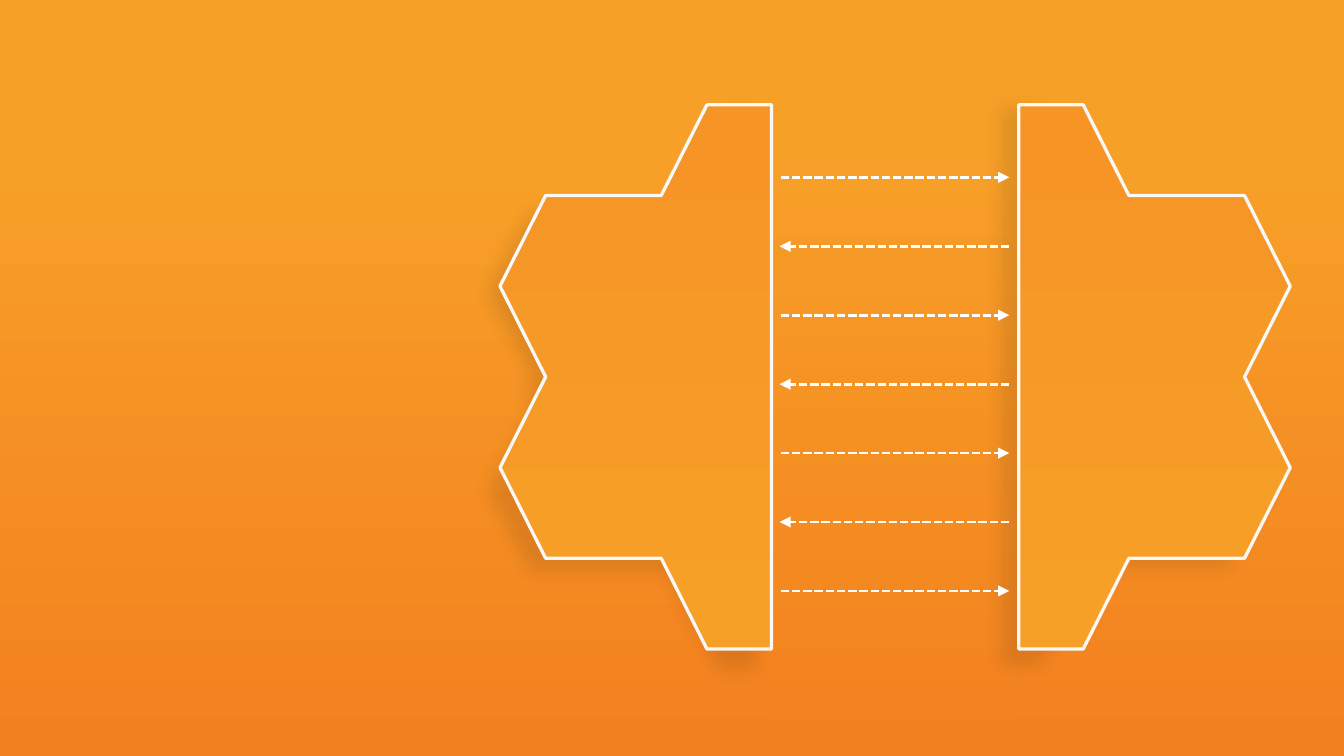
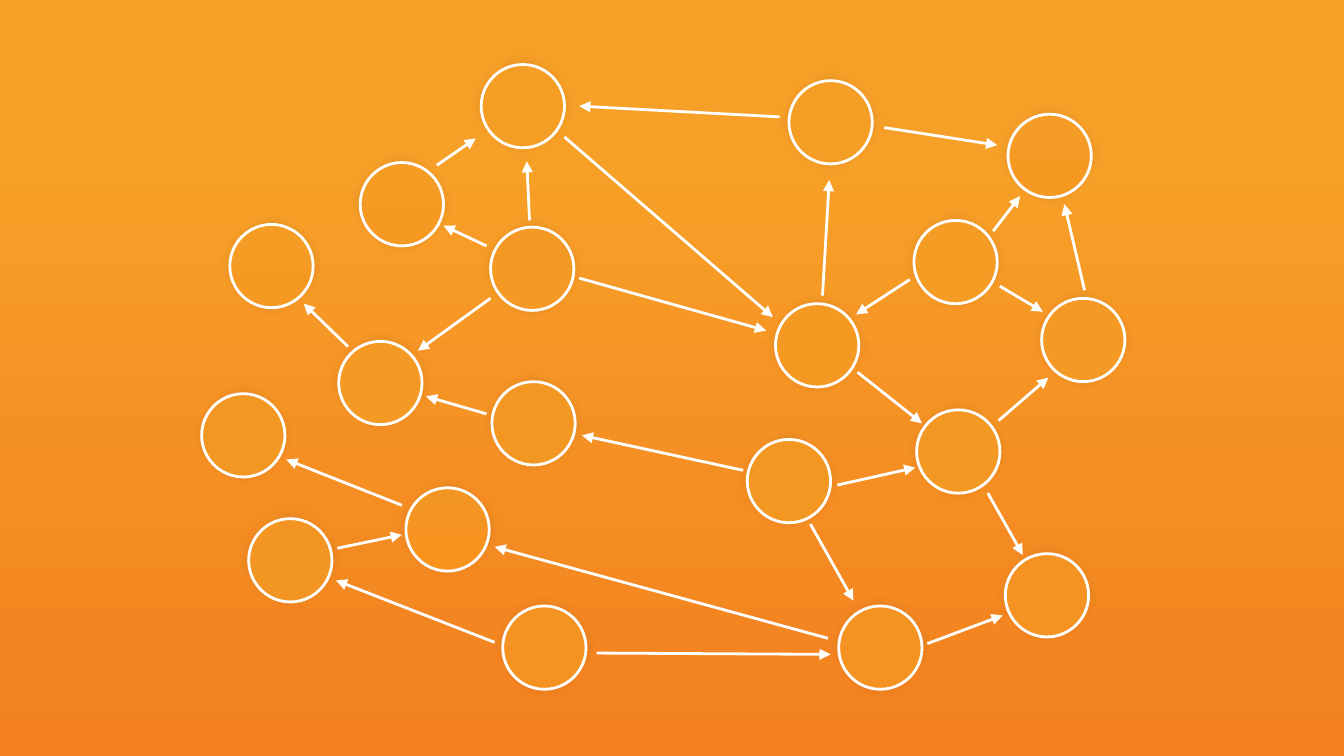
from copy import deepcopy

from lxml import etree
from pptx import Presentation
from pptx.dml.color import RGBColor
from pptx.enum import dml, shapes
from pptx.oxml.ns import qn
from pptx.util import Cm, Pt

INCH = 2.54
WHITE, BLACK = "FFFFFF", "000000"
SUNSET = [(2, "F7A028"), (20, "F7A028"), (100, "F3801F")]


def paint(fill, colour, alpha=100):
    if isinstance(colour, str):
        fill.solid()
        fill.fore_color.rgb = RGBColor.from_string(colour)
    else:
        fill.gradient()
        fill.gradient_angle = 270
        first = fill.gradient_stops[0]._gs
        for _ in colour[2:]:
            first.addnext(deepcopy(first))
        for stop, (position, tone) in zip(fill.gradient_stops, colour):
            stop.position = position / 100
            stop.color.rgb = RGBColor.from_string(tone)
    if alpha < 100:
        for clr in list(fill._xPr.iter(qn("a:srgbClr"))):
            etree.SubElement(clr, qn("a:alpha"), val=str(alpha * 1000))


def dress(sp, colour, alpha=100, line=None, width=1.5, soft=0):
    paint(sp.fill, colour, alpha)
    sp.shadow.inherit = False
    if line:
        paint(sp.line.fill, line)
        sp.line.width = Pt(width)
    else:
        sp.line.fill.background()
    if soft:
        effects = sp._element.spPr.find(qn("a:effectLst"))
        etree.SubElement(effects, qn("a:softEdge"), rad=str(Pt(soft)))


prs = Presentation()
prs.slide_width, prs.slide_height = Cm(25.4), Cm(14.29)
halves, network = [prs.slides.add_slide(prs.slide_layouts[6]) for _ in range(2)]
for s in (halves, network):
    paint(s.background.fill, SUNSET)

band = halves.shapes.add_shape(
    shapes.MSO_SHAPE.RECTANGLE, Cm(14.6), 0, Cm(4.62), prs.slide_height)
dress(band, SUNSET, alpha=70)

GEAR = [(0.48, 6), (0, 6), (0, 0), (0.48, 0), (0.82, 1), (1.68, 1),
        (2.02, 2), (1.68, 3), (2.02, 4), (1.68, 5), (0.82, 5)]
ROW = 0.675
SHADE = dict(colour=BLACK, alpha=10, soft=10)
FACE = dict(colour=[(1, "F69425"), (100, "F7A028")], line="F8F8F8", width=1.75)
gears = [
    (5.76, 0.7, -1.16, 1.09, SHADE),
    (7.31, 0.67, 1.16, 1.09, SHADE),
    (5.74, 0.78, -1, 1, FACE),
    (7.58, 0.78, 1, 1, FACE),
]
for left, top, sx, sy, look in gears:
    points = [(Cm(INCH * (left + sx * x)), Cm(INCH * (top + sy * ROW * y)))
              for x, y in GEAR]
    builder = halves.shapes.build_freeform(*points[0])
    builder.add_line_segments(points[1:], close=True)
    dress(builder.convert_to_shape(), **look)

nodes = [
    (3.58, 0.48, "F59E26", "F59C25"),
    (2.68, 1.21, "F59C25", "F59923"),
    (1.71, 1.67, "F59C25", "F59923"),
    (3.65, 1.69, "F59925", "F49824"),
    (2.52, 2.54, "F59925", "F49824"),
    (3.66, 2.84, "F39723", "F49623"),
    (1.5, 2.93, "F39723", "F49623"),
    (1.85, 3.86, "F39523", "F49322"),
    (3.02, 3.63, "F39523", "F9921B"),
    (3.74, 4.51, "F49322", "F49221"),
    (5.87, 0.6, "F59E26", "F59C25"),
    (7.5, 0.85, "F59C26", "F59923"),
    (6.8, 1.64, "F59C25", "F49B24"),
    (7.75, 2.22, "F59925", "F39723"),
    (5.77, 2.26, "F59922", "F49824"),
    (6.82, 3.05, "F49824", "F49623"),
    (5.56, 3.27, "F39723", "F39523"),
    (7.48, 4.12, "F49322", "F49221"),
    (6.24, 4.51, "F49322", "F49324"),
]
for x, y, upper, lower in nodes:
    node = network.shapes.add_group_shape()
    disc = dict(colour=[(2, upper), (100, lower)], line=WHITE)
    halo = dict(colour=BLACK, alpha=15, soft=8)
    for dx, dy, size, look in ((-0.12, -0.13, 0.86, halo), (0, 0, 0.62, disc)):
        box = [Cm(INCH * v) for v in (x + dx, y + dy, size, size)]
        dress(node.shapes.add_shape(shapes.MSO_SHAPE.OVAL, *box), **look)

exchanges = []
for i in range(7):
    y = 1.32 + 0.513 * i
    exchanges.append((7.51, y, 5.8, y) if i % 2 else (5.81, y, 7.51, y))

links = [
    (4.31, 2.07, 5.7, 2.46), (5.8, 0.87, 4.31, 0.79), (6.12, 2.2, 6.17, 1.34),
    (6.58, 0.95, 7.42, 1.08), (7.39, 1.72, 7.59, 1.46), (6.77, 2.08, 6.37, 2.34),
    (6.38, 2.77, 6.86, 3.15), (7.44, 2.13, 7.76, 2.32), (7.43, 3.13, 7.8, 2.81),
    (8.07, 2.16, 7.92, 1.52), (7.35, 3.67, 7.61, 4.13), (4.2, 1.02, 5.75, 2.36),
    (5.53, 3.5, 4.33, 3.24), (6.23, 3.61, 6.81, 3.48), (6.03, 3.9, 6.35, 4.47),
    (6.9, 4.79, 7.46, 4.58), (4.44, 4.86, 6.18, 4.87), (3.68, 4.78, 2.5, 4.32),
    (6.16, 4.75, 3.68, 4.07), (2.99, 3.76, 2.13, 3.42), (3.62, 3.08, 3.17, 2.95),
    (2.59, 2.58, 2.26, 2.26), (3.62, 1.83, 3.3, 1.68), (3.65, 2.22, 3.11, 2.61),
    (3.94, 1.64, 3.92, 1.2), (3.25, 1.23, 3.54, 1.03), (2.51, 4.08, 2.99, 3.98),
]
for s, arrows, dash in ((halves, exchanges, dml.MSO_LINE.SQUARE_DOT),
                        (network, links, None)):
    for ends in arrows:
        arrow = s.shapes.add_connector(
            shapes.MSO_CONNECTOR.STRAIGHT, *[Cm(INCH * v) for v in ends])
        paint(arrow.line.fill, WHITE)
        arrow.line.width = Pt(1.5)
        arrow.line.dash_style = dash
        spPr = arrow._element.spPr
        etree.SubElement(spPr.find(qn("a:ln")), qn("a:tailEnd"), type="triangle")
        etree.SubElement(spPr, qn("a:effectLst"))

prs.save("out.pptx")
